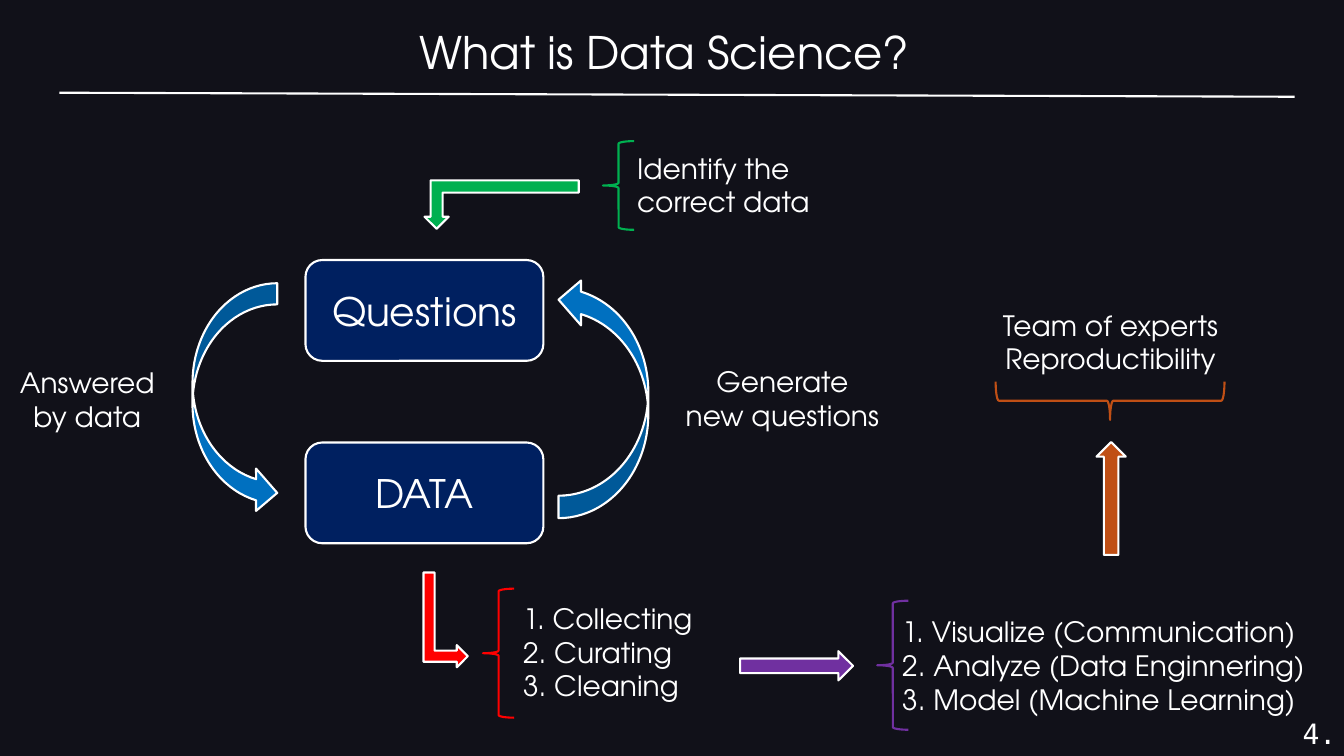
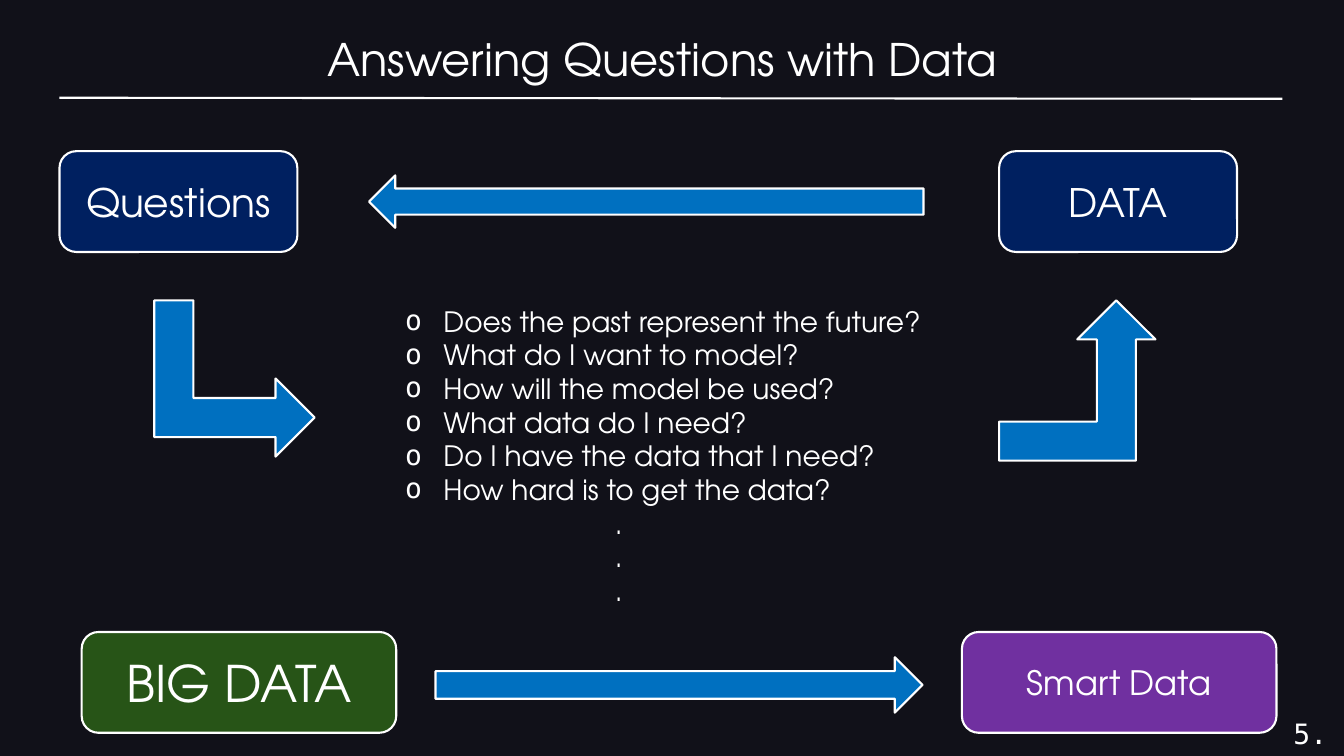
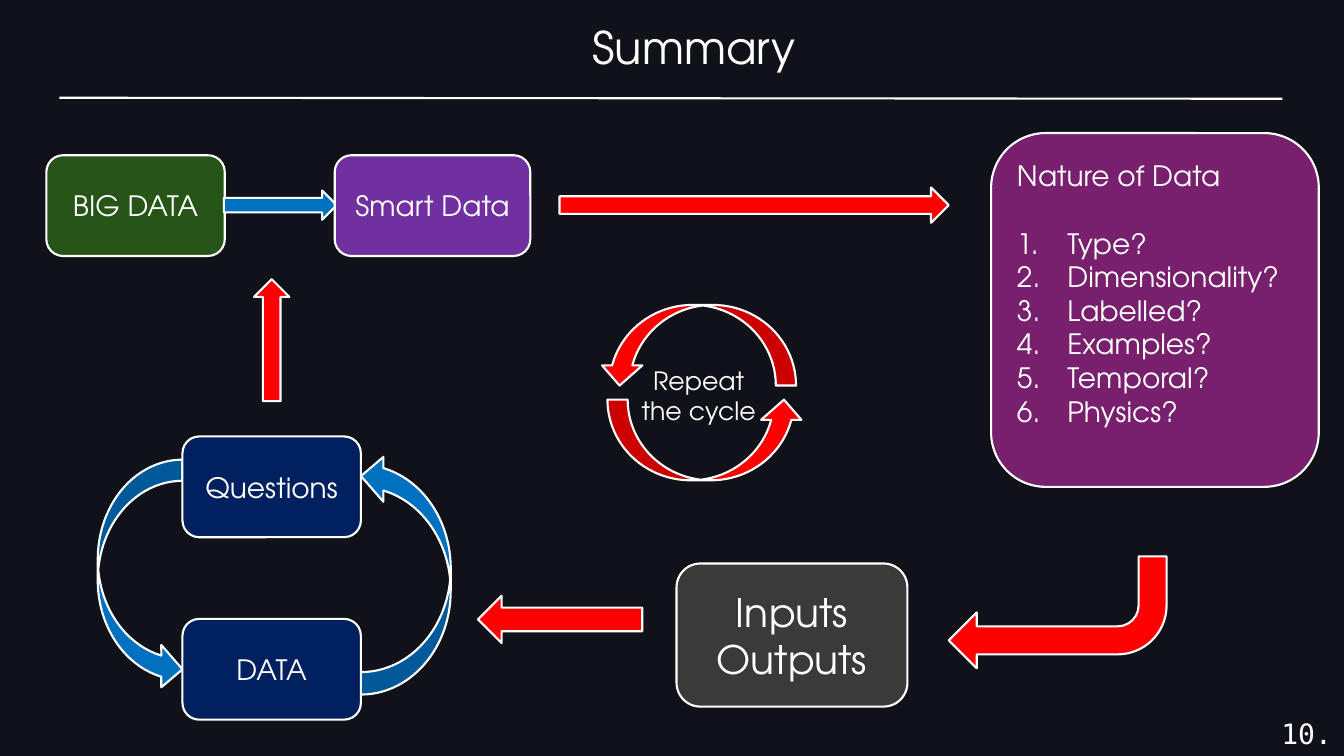
from dataclasses import dataclass

from lxml import etree
from pptx import Presentation
from pptx.dml.color import RGBColor
from pptx.enum.shapes import MSO_CONNECTOR, MSO_SHAPE
from pptx.enum.text import MSO_ANCHOR, PP_ALIGN
from pptx.oxml.ns import qn
from pptx.util import Pt

EMU_PER_PX = 9144
BLANK_LAYOUT = 6

LEFT, CENTER, RIGHT = PP_ALIGN.LEFT, PP_ALIGN.CENTER, PP_ALIGN.RIGHT
TOP, MIDDLE = MSO_ANCHOR.TOP, MSO_ANCHOR.MIDDLE
STRAIGHT = MSO_CONNECTOR.STRAIGHT
ROUNDED = MSO_SHAPE.ROUNDED_RECTANGLE
BRACE = MSO_SHAPE.LEFT_BRACE
ARROW = MSO_SHAPE.RIGHT_ARROW
BENT_UP = MSO_SHAPE.BENT_UP_ARROW
BENT = MSO_SHAPE.BENT_ARROW
CURVED = MSO_SHAPE.CURVED_RIGHT_ARROW


@dataclass(frozen=True)
class Theme:
    font: str = "TeX Gyre Adventor"
    mono: str = "DejaVu Sans Mono"
    background: str = "111119"
    white: str = "FFFFFF"
    navy: str = "002060"
    blue: str = "0070C0"
    red: str = "FF0000"
    green: str = "00B050"
    forest: str = "275417"
    purple: str = "7030A0"
    plum: str = "78206E"
    orange: str = "C04F15"
    gray: str = "3A3A3A"
    title: int = 32
    huge: int = 36
    large: int = 28
    medium: int = 24
    body: int = 20
    small: int = 18
    stroke: float = 1.5


THEME = Theme()


def px(length):
    return length * EMU_PER_PX


def rgb(color):
    return RGBColor.from_string(color)


def write(frame, text, size=THEME.body, font=THEME.font, align=LEFT,
          indent=0, bullet=None, before=0):
    """Append one paragraph per line; bullet is a (tag, attributes) pair."""
    for index, line in enumerate(text.split("\n")):
        para = frame.paragraphs[0]
        if para.runs:
            para = frame.add_paragraph()
        para.alignment = align
        if before and index == 0:
            para.space_before = Pt(before)
        span = para.add_run()
        span.text = line
        span.font.size = Pt(size)
        span.font.name = font
        span.font.color.rgb = rgb(THEME.white)
        if indent:
            properties = para._p.get_or_add_pPr()
            properties.set("marL", str(px(indent)))
            if bullet:
                tag, attributes = bullet
                properties.set("indent", str(-px(indent)))
                if tag == "a:buChar":
                    etree.SubElement(properties, qn("a:buFont"), typeface=THEME.mono)
                etree.SubElement(properties, qn(tag), **attributes)


class Deck:
    def __init__(self, theme):
        self.theme = theme
        self.deck = Presentation()
        self.deck.slide_width, self.deck.slide_height = px(1333), px(750)
        fill = self.deck.slide_master.background.fill
        fill.solid()
        fill.fore_color.rgb = rgb(theme.background)
        self.page = None

    def start(self, title, title_box, rule, number, number_left):
        """Open a page with its title, the rule below it and its number."""
        self.page = self.deck.slides.add_slide(self.deck.slide_layouts[BLANK_LAYOUT])
        self.text(title, *title_box, 64, size=self.theme.title)
        self.rule(*rule)
        frame = self.text(number, number_left, 706, 1333 - number_left, 44,
                          font=self.theme.mono)
        frame.margin_right = 0

    def rule(self, *ends):
        line = self.page.shapes.add_connector(STRAIGHT, *map(px, ends))
        line.line.color.rgb = rgb(self.theme.white)
        line.line.width = Pt(self.theme.stroke)
        etree.SubElement(line._element.spPr, qn("a:effectLst"))

    def text(self, text, left, top, width, height, **style):
        box = self.page.shapes.add_textbox(px(left), px(top), px(width), px(height))
        frame = box.text_frame
        frame.word_wrap = True
        frame.vertical_anchor = TOP
        write(frame, text, **style)
        return frame

    def shape(self, kind, color, left, top, width, height, turn=0):
        shape = self.page.shapes.add_shape(kind, px(left), px(top), px(width), px(height))
        shape.shadow.inherit = False
        shape.rotation = turn
        shape.line.width = Pt(self.theme.stroke)
        if kind == BRACE:
            shape.fill.background()
            shape.line.color.rgb = rgb(color)
        else:
            shape.fill.solid()
            shape.fill.fore_color.rgb = rgb(color)
            shape.line.color.rgb = rgb(self.theme.white)
        return shape

    def card(self, text, color, left, top, width, height=100, align=CENTER, **style):
        frame = self.shape(ROUNDED, color, left, top, width, height).text_frame
        frame.word_wrap = True
        frame.vertical_anchor = MIDDLE
        write(frame, text, align=align, **style)
        return frame

    def data_cycle(self, left, top, width, size, gap_left=0, gap_right=0):
        """Questions above DATA, joined by a curved arrow on each side."""
        theme = self.theme
        self.shape(CURVED, theme.blue, left - gap_left - 84, top + 23, 84, 229)
        self.shape(CURVED, theme.blue, left + width + gap_right, top + 17, 89, 239, 180)
        self.card("DATA", theme.navy, left, top + 181, width, size=size)
        self.card("Questions", theme.navy, left, top, width, size=size)


def definition_page(deck):
    theme = deck.theme
    deck.start("What is Data Science?", (406, 20, 522), (59, 92, 1284, 96), "4.", 1282)
    deck.data_cycle(303, 258, 236, theme.large, gap_left=28, gap_right=15)
    deck.text("Answered by data", 7, 358, 159, 77, align=CENTER)
    deck.text("Generate\nnew questions", 663, 357, 226, 77, align=CENTER)

    deck.shape(BENT_UP, theme.green, 421, 179, 153, 48, 180)
    deck.shape(BRACE, theme.green, 598, 140, 31, 88)
    deck.text("Identify the\ncorrect data", 622, 145, 225, 77)

    deck.shape(BENT_UP, theme.red, 395, 593, 94, 44, 90)
    deck.shape(BRACE, theme.red, 479, 584, 31, 128)
    deck.text("1. Collecting\n2. Curating\n3. Cleaning", 509, 592, 225, 111)

    deck.shape(ARROW, theme.purple, 734, 646, 112, 29)
    deck.shape(BRACE, theme.purple, 870, 596, 31, 128)
    deck.text("1. Visualize (Communication)\n2. Analyze (Data Enginnering)\n"
              "3. Model (Machine Learning)", 885, 605, 432, 111)

    deck.shape(ARROW, theme.orange, 1046, 480, 112, 29, 270)
    deck.shape(BRACE, theme.orange, 1082, 284, 38, 227, 270)
    deck.text("Team of experts\nReproductibility", 963, 301, 277, 77, align=CENTER)


def questions_page(deck):
    theme = deck.theme
    deck.start("Answering Questions with Data", (315, 27, 717), (59, 97, 1272, 98),
               "5.", 1273)
    for label, left in (("Questions", 59), ("DATA", 991)):
        deck.card(label, theme.navy, left, 150, 236, size=theme.large)
    deck.shape(ARROW, theme.blue, 366, 174, 550, 52, 180)
    deck.shape(BENT_UP, theme.blue, 155, 296, 155, 159, 90)
    deck.shape(BENT_UP, theme.blue, 991, 298, 155, 159)

    frame = deck.text(
        "Does the past represent the future?\nWhat do I want to model?\n"
        "How will the model be used?\nWhat data do I need?\n"
        "Do I have the data that I need?\nHow hard is to get the data?",
        392, 297, 550, 313, indent=38, bullet=("a:buChar", {"char": "o"}))
    write(frame, ".\n.\n.", indent=208)

    deck.card("BIG DATA", theme.forest, 81, 627, 312, size=theme.huge)
    deck.shape(ARROW, theme.blue, 432, 652, 483, 55)
    deck.card("Smart Data", theme.purple, 954, 627, 312, size=theme.medium)


def summary_page(deck):
    theme = deck.theme
    deck.start("Summary", (578, 15, 227), (59, 97, 1272, 98), "10.", 1261)
    deck.data_cycle(181, 433, 177, theme.body)
    deck.shape(ARROW, theme.red, 209, 320, 121, 35, 270)

    deck.card("BIG DATA", theme.forest, 46, 154, 177)
    deck.shape(ARROW, theme.blue, 222, 189, 112, 29)
    deck.card("Smart Data", theme.purple, 332, 154, 194)
    deck.shape(ARROW, theme.red, 555, 186, 386, 35)

    frame = deck.card("Nature of Data", theme.plum, 983, 132, 325, 351, align=LEFT)
    frame.margin_bottom = px(38)
    write(frame, "Type?\nDimensionality?\nLabelled?\nExamples?\nTemporal?\nPhysics?",
          indent=50, bullet=("a:buAutoNum", {"type": "arabicPeriod"}), before=24)

    deck.shape(BENT, theme.red, 941, 552, 216, 111, 180)
    deck.card("Inputs\nOutputs", theme.gray, 671, 559, 229, 142, size=theme.large)
    deck.shape(ARROW, theme.red, 474, 591, 163, 47, 180)

    deck.shape(CURVED, theme.red, 652, 245, 80, 195, 90)
    deck.shape(CURVED, theme.red, 660, 339, 80, 195, 270)
    deck.text("Repeat the cycle", 620, 357, 146, 71, size=theme.small, align=CENTER)


def main():
    deck = Deck(THEME)
    definition_page(deck)
    questions_page(deck)
    summary_page(deck)
    deck.deck.save("out.pptx")


if __name__ == "__main__":
    main()
